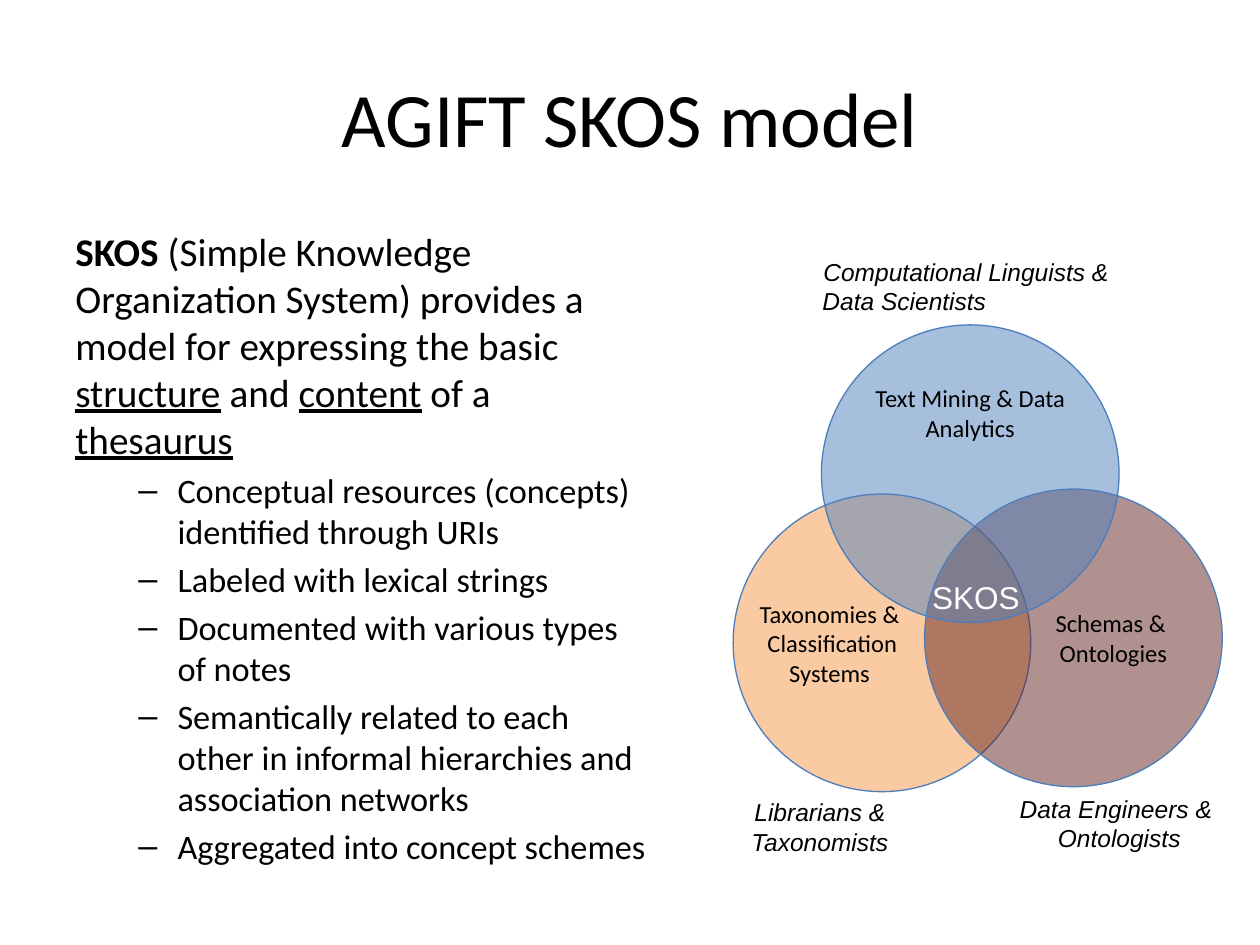
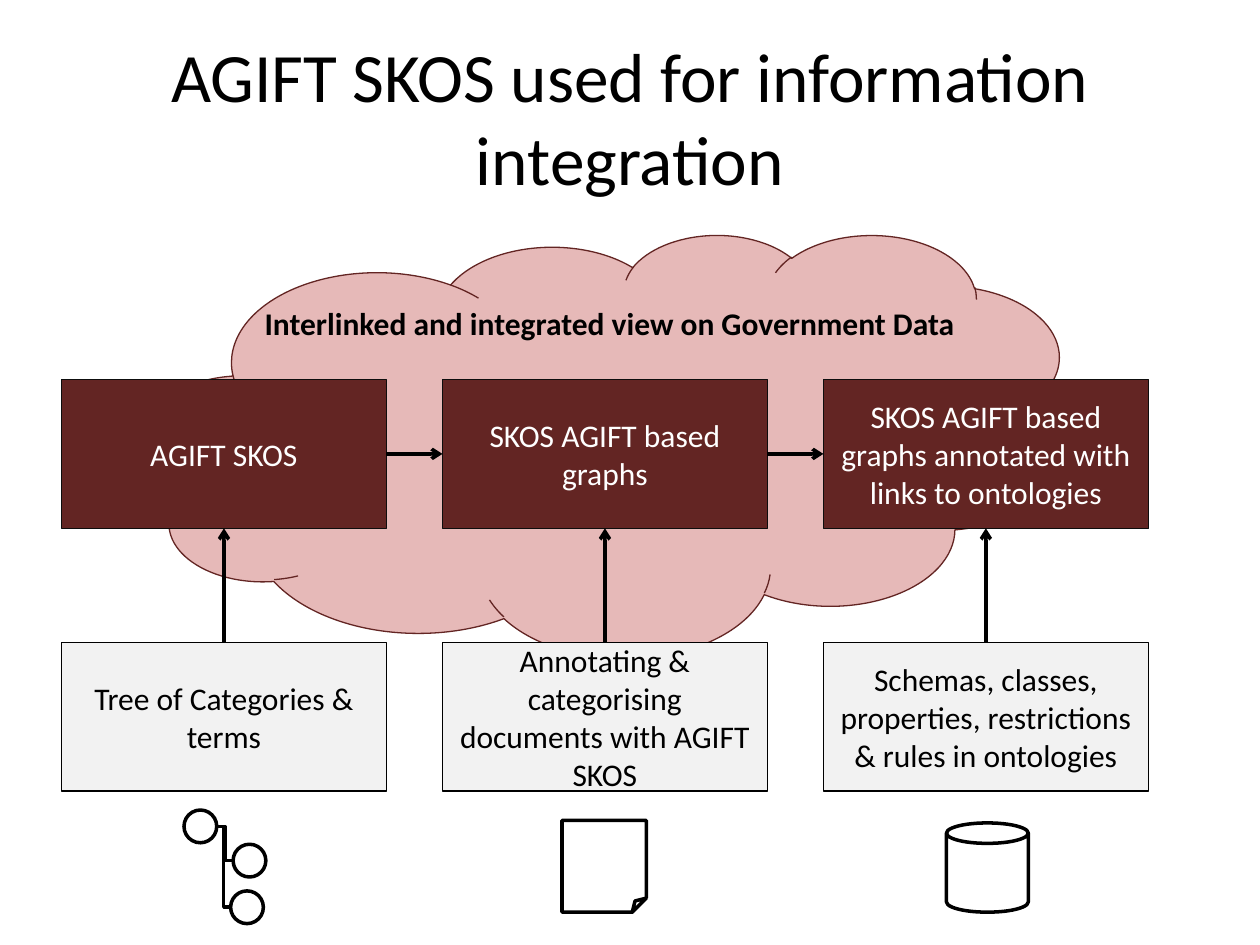
from lxml import etree
from pptx import Presentation
from pptx import util as u
from pptx.dml.color import RGBColor
from pptx.enum import shapes, text
from pptx.oxml import ns

INK = {"black": "000000", "white": "FFFFFF", "edge": "0D0D0D", "rim": "4B7EBC",
       "blue": "4F81BD", "orange": "F79646", "wine": "632523", "pink": "E6B9B8",
       "grey": "F2F2F2"}
KIND = shapes.MSO_SHAPE
WIRE = shapes.MSO_CONNECTOR
MID, LEFT = text.PP_ALIGN.CENTER, text.PP_ALIGN.LEFT
BODY, LABEL = "Calibri", "Arial"


def tint(name):
    return RGBColor.from_string(INK[name])


def add_tag(parent, tag, **attrs):
    return etree.SubElement(parent, ns.qn(tag), attrs)


def place(box):
    return [u.Cm(v) for v in box]


def style(run, size, ink="black", face=BODY, **marks):
    font = run.font
    font.size, font.name = u.Pt(size), face
    font.color.rgb = tint(ink)
    for mark, on in marks.items():
        setattr(font, mark, on)


def write(frame, lines, size, ink="black", face=BODY, aligns=None, **marks):
    """Put each line in its own paragraph; a newline inside one is a line break."""
    for i, line in enumerate(lines):
        para = frame.paragraphs[0] if i == 0 else frame.add_paragraph()
        para.text = line
        para.alignment = aligns[i] if aligns else MID
        for run in para.runs:
            style(run, size, ink, face, **marks)


def add_page(deck, title, size):
    page = deck.slides.add_slide(deck.slide_layouts[5])
    head = page.shapes.title
    head.left, head.top, head.width, head.height = place((1.27, 0.76, 22.86, 3.18))
    frame = head.text_frame
    frame.auto_size = text.MSO_AUTO_SIZE.NONE
    frame.vertical_anchor = text.MSO_ANCHOR.MIDDLE
    write(frame, [title], size)
    return page


def add_form(page, kind, box, fill=None, line="black", width=0.75, alpha=None):
    form = page.shapes.add_shape(kind, *place(box))
    form.shadow.inherit = False
    if fill:
        form.fill.solid()
        form.fill.fore_color.rgb = tint(fill)
    else:
        form.fill.background()
    if alpha:
        color = form.fill._xPr.find(".//" + ns.qn("a:srgbClr"))
        add_tag(color, "a:alpha", val=str(alpha * 1000))
    form.line.color.rgb = tint(line)
    form.line.width = u.Pt(width)
    return form


def pad(frame, left, top, right, bottom):
    (frame.margin_left, frame.margin_top,
     frame.margin_right, frame.margin_bottom) = place((left, top, right, bottom))


def add_ring(page, left, top, fill, label, inset, wrap=False):
    ring = add_form(page, KIND.OVAL, (left, top, 6, 6), fill, "rim", alpha=50)
    frame = ring.text_frame
    pad(frame, *inset)
    frame.word_wrap = wrap
    frame.vertical_anchor = text.MSO_ANCHOR.MIDDLE
    write(frame, [label], 14)


def add_label(page, box, lines, size=14, ink="black", aligns=None, italic=True):
    frame = page.shapes.add_textbox(*place(box)).text_frame
    frame.word_wrap = False
    frame.auto_size = text.MSO_AUTO_SIZE.SHAPE_TO_FIT_TEXT
    write(frame, lines, size, ink, LABEL, aligns, italic=italic)


def add_card(page, box, fill, line, ink, label):
    card = add_form(page, KIND.RECTANGLE, box, fill, line)
    card.text_frame.word_wrap = True
    card.text_frame.vertical_anchor = text.MSO_ANCHOR.MIDDLE
    write(card.text_frame, [label], 18, ink)
    return card


def add_wire(page, kind, ends=(0, 0, 0, 0)):
    wire = page.shapes.add_connector(kind, *place(ends))
    wire.line.color.rgb = tint("black")
    wire.line.width = u.Pt(2)
    add_tag(wire._element.spPr, "a:effectLst")
    return wire


def add_arrow(page, start, side, end, goal):
    wire = add_wire(page, WIRE.STRAIGHT)
    wire.begin_connect(start, side)
    wire.end_connect(end, goal)
    add_tag(wire.line._get_or_add_ln(), "a:tailEnd", type="arrow")


def add_body(page, intro, points):
    frame = page.shapes.add_textbox(*place((1.27, 4.45, 12.12, 14.38))).text_frame
    frame.word_wrap = True
    para = frame.paragraphs[0]
    para.space_before = u.Pt(4.5)
    for words, marks in intro:
        run = para.add_run()
        run.text = words
        style(run, 22.4, **marks)
    for point in points:
        para = frame.add_paragraph()
        para.text = point
        para.space_before = u.Pt(3.9)
        style(para.runs[0], 19.6)
        props = para._p.get_or_add_pPr()
        props.set("marL", str(u.Cm(2.06)))
        props.set("indent", str(u.Cm(-0.79)))
        add_tag(props, "a:buFont", typeface="Arial")
        add_tag(props, "a:buChar", char="–")


def draw_model(deck):
    page = add_page(deck, "AGIFT SKOS model", 44)
    under = {"underline": True}
    add_body(page, [
        ("SKOS ", {"bold": True}),
        ("(Simple Knowledge Organization System) provides a model for "
         "expressing the basic ", {}),
        ("structure", under), (" and ", {}), ("content", under),
        (" of a ", {}), ("thesaurus", under),
    ], [
        "Conceptual resources (concepts) identified through URIs",
        "Labeled with lexical strings",
        "Documented with various types of notes",
        "Semantically related to each other in informal hierarchies and "
        "association networks",
        "Aggregated into concept schemes",
    ])
    add_ring(page, 14.78, 9.96, "orange",
             "Taxonomies &\n Classification\nSystems", (0, 0, 2.11, 0))
    add_ring(page, 18.64, 9.86, "wine", "Schemas &\n Ontologies", (1.5, 0, 0, 0))
    add_ring(page, 16.56, 6.55, "blue", "Text Mining & Data Analytics",
             (0, 0, 0, 2.46), wrap=True)
    add_label(page, (14.83, 15.95, 3.4, 1.45), ["Librarians &\nTaxonomists"])
    add_label(page, (16.33, 5.05, 6.43, 1.45),
              ["Computational Linguists & ", "Data Scientists"], aligns=(MID, LEFT))
    add_label(page, (20.29, 15.88, 4.55, 1.45), ["Data Engineers & ", "Ontologists"])
    add_label(page, (18.54, 11.53, 2.29, 1.02), ["SKOS"], 18, "white", (LEFT,), False)


def draw_tree(page):
    size = 0.66
    root, *kids = [(3.71, 16.33), (4.7, 17.02), (4.65, 17.96)]
    for left, top in (root, *kids):
        add_form(page, KIND.OVAL, (left, top, size, size), width=2)
    for left, top in kids:
        add_wire(page, WIRE.ELBOW, (root[0] + size, root[1] + size / 2,
                                    left, top + size / 2))


def draw_flow(deck):
    page = add_page(deck, "AGIFT SKOS used for information integration", 39.6)
    cloud = add_form(page, KIND.CLOUD, (3, 4.72, 18.77, 8.53), "pink", "wine")
    frame = cloud.text_frame
    pad(frame, 1.4, 0.13, 0.25, 0.13)
    frame.word_wrap = False
    frame.vertical_anchor = text.MSO_ANCHOR.TOP
    write(frame, ["Interlinked and integrated view on Government Data"], 18, bold=True)

    pairs = [
        ("AGIFT SKOS", "Tree of Categories & terms"),
        ("SKOS AGIFT based graphs",
         "Annotating & categorising documents with AGIFT SKOS"),
        ("SKOS AGIFT based graphs annotated with links to ontologies",
         "Schemas, classes, properties, restrictions & rules in ontologies"),
    ]
    last = None
    for i, (graph, source) in enumerate(pairs):
        left = 1.24 + i * 7.68
        top = add_card(page, (left, 7.65, 6.55, 3), "wine", "edge", "white", graph)
        base = add_card(page, (left, 12.95, 6.55, 3), "grey", "black", "black", source)
        add_arrow(page, base, 0, top, 2)
        if last:
            add_arrow(page, last, 3, top, 1)
        last = top

    draw_tree(page)
    add_form(page, KIND.FOLDED_CORNER, (11.33, 16.54, 1.7, 1.85), width=2)
    add_form(page, KIND.CAN, (19.08, 16.59, 1.65, 1.8), width=2)


def main():
    deck = Presentation()
    deck.slide_width, deck.slide_height = u.Cm(25.4), u.Cm(19.05)
    draw_model(deck)
    draw_flow(deck)
    deck.save("out.pptx")


if __name__ == "__main__":
    main()
